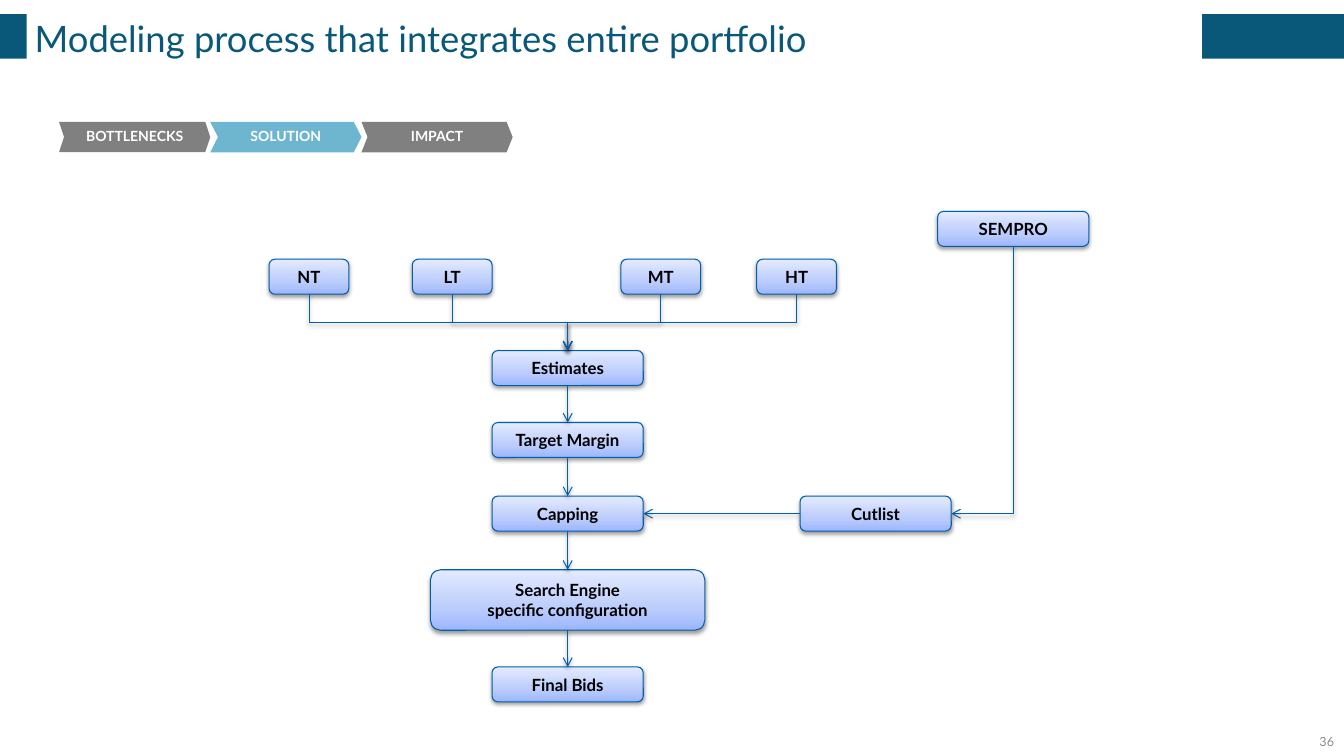
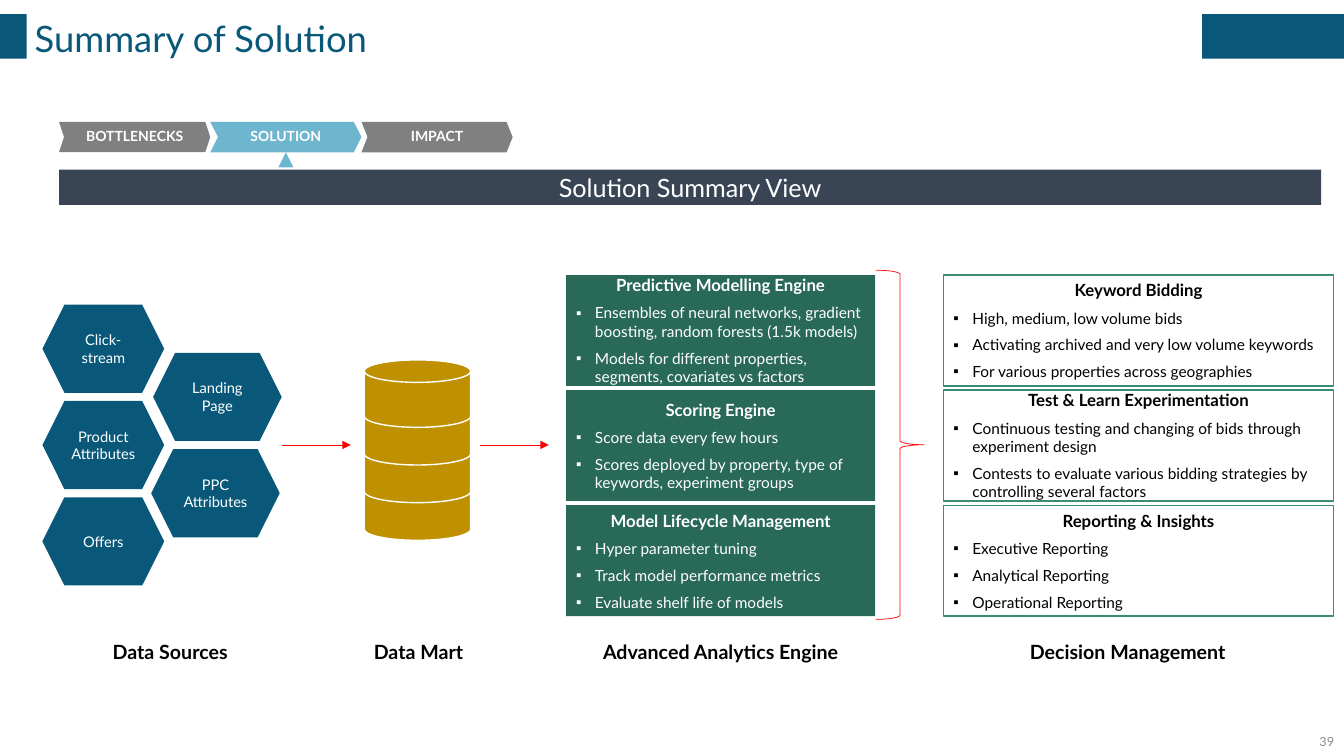
from dataclasses import dataclass
from typing import NamedTuple, Optional

from pptx import Presentation
from pptx.dml.color import RGBColor
from pptx.enum.shapes import MSO_CONNECTOR, MSO_SHAPE
from pptx.enum.text import MSO_ANCHOR, PP_ALIGN
from pptx.oxml import parse_xml
from pptx.oxml.ns import nsdecls, qn
from pptx.util import Pt


@dataclass(frozen=True)
class Theme:
    font: str = "Lato"
    teal: str = "095879"
    white: str = "FFFFFF"
    black: str = "000000"
    gray: str = "808080"
    number_gray: str = "8C8C8C"
    sky: str = "6EB5D0"
    slate: str = "394555"
    gold: str = "BF9000"
    green: str = "296958"
    green_line: str = "378D76"
    blue_line: str = "005FAE"
    red: str = "FF0000"
    node_gradient: tuple = ((0, "9CB6FD"), (35, "BBCCFC"), (100, "E4EBFF"))
    title_size: float = 26
    banner_size: float = 18
    label_size: float = 14
    heading_size: float = 12
    bullet_size: float = 11
    hexagon_size: float = 10.5
    step_size: float = 10
    number_size: float = 9


THEME = Theme()
SLIDE_WIDTH, SLIDE_HEIGHT = 960, 540


class Box(NamedTuple):
    left: float
    top: float
    width: float
    height: float


class Step(NamedTuple):
    text: str
    color: str
    adjustments: tuple


class Node(NamedTuple):
    text: str
    center: float
    top: float
    width: float = 108
    height: float = 25


class Card(NamedTuple):
    heading: str
    bullets: tuple


class Label(NamedTuple):
    text: str
    left: float
    width: float


STEPS = (
    Step("BOTTLENECKS", THEME.gray, (0.99, 0.165)),
    Step("SOLUTION", THEME.sky, (1, 0.252)),
    Step("IMPACT", THEME.gray, (1, 0.2)),
)
COLUMN_CENTER = 405.5
SOURCES = tuple(
    Node(text, center, 185.2, 57)
    for text, center in (("NT", 220.7), ("LT", 323), ("MT", 472), ("HT", 569))
)
PROCESS = (
    Node("Estimates", COLUMN_CENTER, 250.4),
    Node("Target Margin", COLUMN_CENTER, 301.8),
    Node("Capping", COLUMN_CENTER, 354.4),
    Node("Search Engine\nspecific configuration", COLUMN_CENTER, 407, 196, 43.2),
    Node("Final Bids", COLUMN_CENTER, 476.4),
)
CUTLIST = Node("Cutlist", 625.5, 354.4)
SEMPRO = Node("SEMPRO", 723.8, 151)
LEFT_HEXAGONS = ("Click-stream", "Product Attributes", "Offers")
RIGHT_HEXAGONS = (("Landing Page", 109.4), ("PPC Attributes", 108))
ENGINE_CARDS = (
    Card("Predictive Modelling Engine", (
        "Ensembles of neural networks, gradient boosting, random forests (1.5k models)",
        "Models for different properties, segments, covariates vs factors")),
    Card("Scoring Engine", (
        "Score data every few hours",
        "Scores deployed by property, type of keywords, experiment groups")),
    Card("Model Lifecycle Management", (
        "Hyper parameter tuning",
        "Track model performance metrics",
        "Evaluate shelf life of models")),
)
DECISION_CARDS = (
    Card("Keyword Bidding", (
        "High, medium, low volume bids",
        "Activating archived and very low volume keywords",
        "For various properties across geographies")),
    Card("Test & Learn Experimentation", (
        "Continuous testing and changing of bids through experiment design",
        "Contests to evaluate various bidding strategies by controlling several factors")),
    Card("Reporting & Insights", (
        "Executive Reporting", "Analytical Reporting", "Operational Reporting")),
)
LABELS = (
    Label("Data Sources", 73.4, 101),
    Label("Data Mart", 259.9, 82),
    Label("Advanced Analytics Engine", 423.7, 194),
    Label("Decision Management", 728.6, 164),
)


def add_text(shape, text: str, *, size: float, color: str = THEME.white,
             bold: bool = False, align=PP_ALIGN.CENTER, line_spacing: Optional[float] = None,
             space_after: Optional[float] = None, bullet: bool = False) -> None:
    frame = shape.text_frame
    for line in text.split("\n"):
        paragraph = frame.add_paragraph() if frame.text else frame.paragraphs[0]
        paragraph.alignment = align
        if line_spacing is not None:
            paragraph.line_spacing = line_spacing
        if space_after is not None:
            paragraph.space_after = Pt(space_after)
        if bullet:
            properties = paragraph._p.get_or_add_pPr()
            properties.set("marL", str(Pt(13.5)))
            properties.set("indent", str(Pt(-13.5)))
            properties.append(parse_xml(f'<a:buFont {nsdecls("a")} typeface="Arial"/>'))
            properties.append(parse_xml(f'<a:buChar {nsdecls("a")} char="▪"/>'))
        run = paragraph.add_run()
        run.text = line
        run.font.name = THEME.font
        run.font.size = Pt(size)
        run.font.bold = bold
        run.font.color.rgb = RGBColor.from_string(color)


def set_frame(shape, anchor=MSO_ANCHOR.MIDDLE, horizontal: float = 7.2,
              vertical: float = 3.6) -> None:
    frame = shape.text_frame
    frame.word_wrap = True
    frame.vertical_anchor = anchor
    frame.margin_left = frame.margin_right = Pt(horizontal)
    frame.margin_top = frame.margin_bottom = Pt(vertical)


def add_box(slide, kind, box: Box, fill: Optional[str] = None,
            line: Optional[str] = None, line_width: float = 1):
    shape = slide.shapes.add_shape(kind, *map(Pt, box))
    shape.shadow.inherit = False
    if fill:
        shape.fill.solid()
        shape.fill.fore_color.rgb = RGBColor.from_string(fill)
    else:
        shape.fill.background()
    if line:
        shape.line.color.rgb = RGBColor.from_string(line)
        shape.line.width = Pt(line_width)
    else:
        shape.line.fill.background()
    set_frame(shape)
    return shape


def add_text_box(slide, box: Box, anchor=MSO_ANCHOR.TOP):
    shape = slide.shapes.add_textbox(*map(Pt, box))
    set_frame(shape, anchor)
    return shape


def add_soft_shadow(effects) -> None:
    effects.append(parse_xml(
        f'<a:outerShdw {nsdecls("a")} blurRad="{Pt(3.1)}" dist="{Pt(1.6)}" '
        f'dir="5400000" rotWithShape="0"><a:srgbClr val="{THEME.black}">'
        '<a:alpha val="38000"/></a:srgbClr></a:outerShdw>'))


def add_arrow(slide, start: tuple, end: tuple, *, color: str, width: float,
              head: str, kind=MSO_CONNECTOR.STRAIGHT, shadow: bool = False):
    connector = slide.shapes.add_connector(kind, *map(Pt, start + end))
    connector.line.color.rgb = RGBColor.from_string(color)
    connector.line.width = Pt(width)
    properties = connector._element.spPr
    properties.find(qn("a:ln")).append(
        parse_xml(f'<a:tailEnd {nsdecls("a")} type="{head}"/>'))
    effects = parse_xml(f'<a:effectLst {nsdecls("a")}/>')
    properties.append(effects)
    if shadow:
        add_soft_shadow(effects)
    return connector


def add_node(slide, node: Node):
    box = Box(node.center - node.width / 2, node.top, node.width, node.height)
    shape = add_box(slide, MSO_SHAPE.ROUNDED_RECTANGLE, box, line=THEME.blue_line, line_width=0.75)
    shape.fill.gradient()
    properties = shape._element.spPr
    stops = "".join(
        f'<a:gs pos="{position * 1000}"><a:srgbClr val="{color}"/></a:gs>'
        for position, color in THEME.node_gradient)
    properties.replace(properties.find(qn("a:gradFill")), parse_xml(
        f'<a:gradFill {nsdecls("a")} rotWithShape="1"><a:gsLst>{stops}</a:gsLst>'
        '<a:lin ang="16200000" scaled="0"/></a:gradFill>'))
    add_soft_shadow(properties.find(qn("a:effectLst")))
    add_text(shape, node.text, size=THEME.heading_size, color=THEME.black, bold=True)
    return shape


def join(slide, source, source_side: int, target, target_side: int,
         kind=MSO_CONNECTOR.STRAIGHT):
    connector = add_arrow(slide, (0, 0), (0, 0), color=THEME.blue_line, width=0.75,
                          head="arrow", kind=kind, shadow=True)
    connector.begin_connect(source, source_side)
    connector.end_connect(target, target_side)
    return connector


def join_downward(slide, source, target, target_side: int, preset: str) -> None:
    connector = join(slide, source, 2, target, target_side, MSO_CONNECTOR.ELBOW)
    across = connector.end_x - connector.begin_x
    down = connector.end_y - connector.begin_y
    center_x = (connector.begin_x + connector.end_x) // 2
    center_y = (connector.begin_y + connector.end_y) // 2
    connector.width, connector.height = down, abs(across)
    connector.left = center_x - down // 2
    connector.top = center_y - abs(across) // 2
    properties = connector._element.spPr
    properties.find(qn("a:prstGeom")).set("prst", preset)
    transform = properties.find(qn("a:xfrm"))
    transform.attrib.clear()
    transform.set("rot", "16200000" if across > 0 else "5400000")
    if across > 0:
        transform.set("flipH", "1")


def add_base_slide(presentation, title: str, number: str):
    slide = presentation.slides.add_slide(presentation.slide_layouts[6])
    add_box(slide, MSO_SHAPE.RECTANGLE, Box(0, 10.2, SLIDE_WIDTH, 31.8), THEME.teal)
    title_box = add_box(slide, MSO_SHAPE.RECTANGLE, Box(19, 6, 839.5, 42.4), THEME.white)
    set_frame(title_box, horizontal=5.8, vertical=0)
    add_text(title_box, title, size=THEME.title_size, color=THEME.teal, align=PP_ALIGN.LEFT)
    for index, step in enumerate(STEPS):
        arrow = add_box(slide, MSO_SHAPE.NOTCHED_RIGHT_ARROW,
                        Box(42.2 + 108 * index, 87, 108, 21.8), step.color)
        for position, value in enumerate(step.adjustments):
            arrow.adjustments[position] = value
        set_frame(arrow, horizontal=14.4, vertical=11.5)
        add_text(arrow, step.text, size=THEME.step_size, bold=True, line_spacing=0.9)
    number_box = add_text_box(slide, Box(744, 520, 216, 18.7), MSO_ANCHOR.MIDDLE)
    add_text(number_box, number, size=THEME.number_size, color=THEME.number_gray,
             align=PP_ALIGN.RIGHT)
    return slide


def add_card(slide, card: Card, box: Box, color: str, fill: Optional[str] = None,
             line: Optional[str] = None) -> None:
    shape = add_box(slide, MSO_SHAPE.RECTANGLE, box, fill, line)
    add_text(shape, card.heading, size=THEME.heading_size, color=color, bold=True, space_after=6)
    for bullet in card.bullets:
        add_text(shape, bullet, size=THEME.bullet_size, color=color,
                 align=PP_ALIGN.LEFT, space_after=6, bullet=True)


def build_process_slide(presentation) -> None:
    slide = add_base_slide(presentation, "Modeling process that integrates entire portfolio", "36")
    sources = [add_node(slide, node) for node in SOURCES]
    process = [add_node(slide, node) for node in PROCESS]
    cutlist = add_node(slide, CUTLIST)
    sempro = add_node(slide, SEMPRO)
    for source in sources:
        join_downward(slide, source, process[0], 0, "bentConnector3")
    for upper, lower in zip(process, process[1:]):
        join(slide, upper, 2, lower, 0)
    join(slide, cutlist, 1, process[2], 3)
    join_downward(slide, sempro, cutlist, 3, "bentConnector2")


def build_summary_slide(presentation) -> None:
    slide = add_base_slide(presentation, "Summary of Solution", "39")
    add_box(slide, MSO_SHAPE.FLOWCHART_EXTRACT, Box(198.8, 108.8, 10.8, 10.8), THEME.sky)
    banner = add_box(slide, MSO_SHAPE.RECTANGLE, Box(42.2, 121.2, 901.6, 25.2), THEME.slate)
    add_text(banner, "Solution Summary View", size=THEME.banner_size)

    hexagons = [(text, Box(30.3, 217.6 + 68.8 * row, 87, 63))
                for row, text in enumerate(LEFT_HEXAGONS)]
    hexagons += [(text, Box(left, 252 + 68.8 * row, 91.8, 63))
                 for row, (text, left) in enumerate(RIGHT_HEXAGONS)]
    for text, box in hexagons:
        add_text(add_box(slide, MSO_SHAPE.HEXAGON, box, THEME.teal), text, size=THEME.hexagon_size)
    for level in range(4):
        add_box(slide, MSO_SHAPE.FLOWCHART_MAGNETIC_DISK,
                Box(260.2, 337.8 - 26.9 * level, 76, 48.2), THEME.gold, THEME.white)

    for row, (engine, decision) in enumerate(zip(ENGINE_CARDS, DECISION_CARDS)):
        top = 196.5 + 82.2 * row
        add_card(slide, engine, Box(404.4, top, 220.8, 79.2), THEME.white, fill=THEME.green)
        add_card(slide, decision, Box(674, top, 278.6, 79.2), THEME.black, line=THEME.green_line)
    add_box(slide, MSO_SHAPE.RIGHT_BRACE, Box(625.6, 193, 34.5, 249.4),
            line=THEME.red, line_width=0.5)
    for left in (201.5, 343):
        add_arrow(slide, (left, 317.8), (left + 49, 317.8), color=THEME.red,
                  width=0.5, head="triangle")
    for label in LABELS:
        box = add_text_box(slide, Box(label.left, 453.6, label.width, 24.2))
        add_text(box, label.text, size=THEME.label_size, color=THEME.black, bold=True,
                 align=PP_ALIGN.LEFT)


def main() -> None:
    presentation = Presentation()
    presentation.slide_width, presentation.slide_height = Pt(SLIDE_WIDTH), Pt(SLIDE_HEIGHT)
    build_process_slide(presentation)
    build_summary_slide(presentation)
    presentation.save("out.pptx")


if __name__ == "__main__":
    main()
